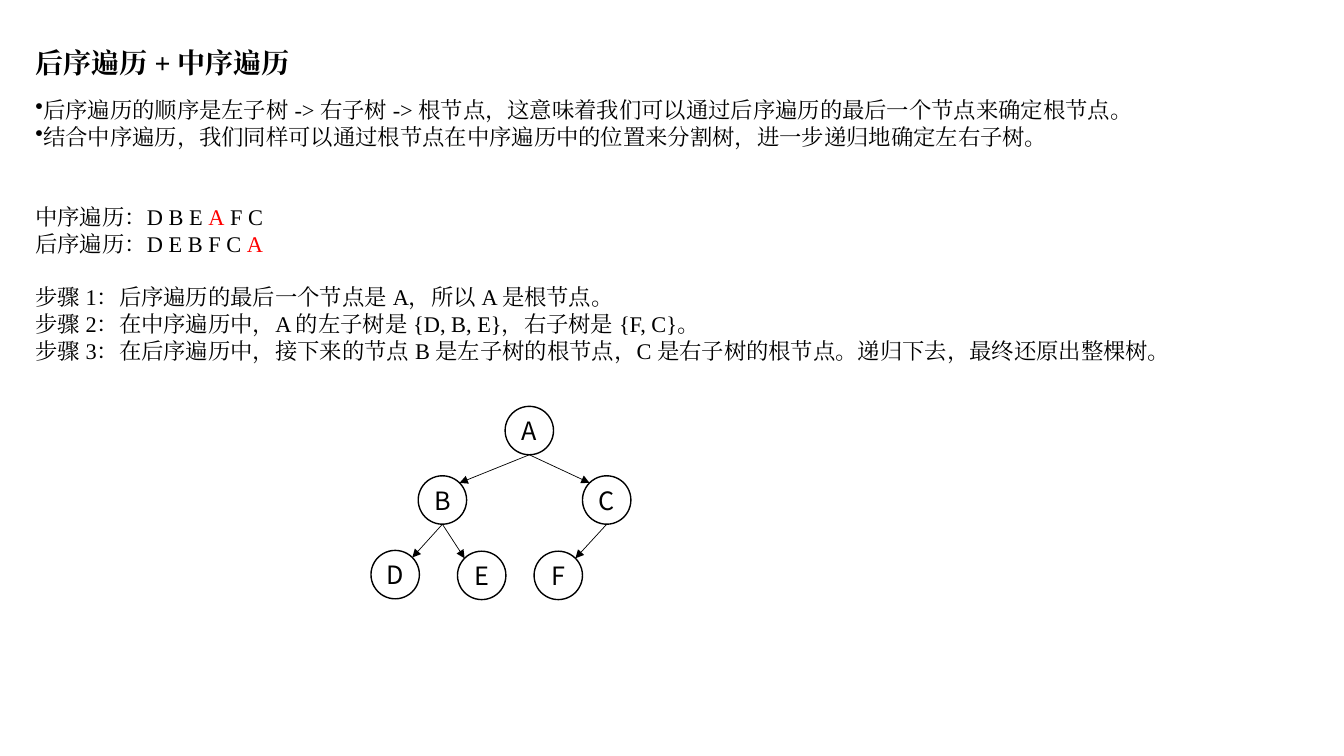
import math

from pptx import Presentation
from pptx import util as u
from pptx.dml.color import RGBColor
from pptx.enum import shapes, text
from pptx.oxml.ns import qn

COLORS = {"ink": "000000", "root": "FF0000"}
BODY_FONT = "Times New Roman"
NODE_FONT = "Noto Sans CJK SC"
NODE_SIZE = 1.22  # cm

# Left and top of each tree node, in cm
NODES = {
    "A": (12.73, 10.24),
    "B": (10.54, 11.99),
    "C": (14.68, 11.99),
    "D": (9.35, 13.87),
    "E": (11.53, 13.89),
    "F": (13.46, 13.89),
}
EDGES = ["AB", "AC", "BD", "BE", "CF"]

# Runs of each paragraph with its format
PARAGRAPHS = [
    (["后序遍历 + 中序遍历"], {"size": 20, "bold": True, "after": 12}),
    (["后序遍历的顺序是左子树 -> 右子树 -> 根节点，这意味着我们可以通过后序遍历的最后一个节点来确定根节点。"],
     {"bullet": True}),
    (["结合中序遍历，我们同样可以通过根节点在中序遍历中的位置来分割树，进一步递归地确定左右子树。"],
     {"bullet": True}),
    (["中序遍历：D B E ", ("A", "root"), " F C"], {"before": 38.5}),
    (["后序遍历：D E B F C ", ("A", "root")], {}),
    (["步骤 1：后序遍历的最后一个节点是 A，所以 A 是根节点。"], {"before": 18.5}),
    (["步骤 2：在中序遍历中，A 的左子树是 {D, B, E}，右子树是 {F, C}。"], {}),
    (["步骤 3：在后序遍历中，接下来的节点 B 是左子树的根节点，C 是右子树的根节点。递归下去，最终还原出整棵树。"], {}),
]


def rgb(name):
    return RGBColor.from_string(COLORS[name])


def write(p, runs, size=16, font=BODY_FONT, bold=False, bullet=False,
          before=0, after=0, align=None):
    """Fill a paragraph with runs, each a string or a (string, colour) pair."""
    p.space_before, p.space_after = u.Pt(before), u.Pt(after)
    if align is not None:
        p.alignment = align
    if bullet:
        pPr = p._p.get_or_add_pPr()
        pPr.append(pPr.makeelement(qn("a:buChar"), {"char": "•"}))
    for run in runs:
        content, color = (run, "ink") if isinstance(run, str) else run
        r = p.add_run()
        r.text = content
        r.font.size, r.font.bold, r.font.name = u.Pt(size), bold, font
        r.font.color.rgb = rgb(color)
        rPr = r.font._element
        rPr.append(rPr.makeelement(qn("a:ea"), {"typeface": font}))


def add_explanation(s):
    box = s.shapes.add_textbox(u.Cm(0.64), u.Cm(1.02), u.Cm(30.35), u.Cm(8.51))
    tf = box.text_frame
    tf.word_wrap = True
    tf.auto_size = text.MSO_AUTO_SIZE.SHAPE_TO_FIT_TEXT
    for i, (runs, fmt) in enumerate(PARAGRAPHS):
        p = tf.add_paragraph() if i else tf.paragraphs[0]
        write(p, runs, **fmt)


def add_node(s, label):
    left, top = NODES[label]
    sp = s.shapes.add_shape(shapes.MSO_SHAPE.OVAL, u.Cm(left), u.Cm(top),
                            u.Cm(NODE_SIZE), u.Cm(NODE_SIZE))
    sp.shadow.inherit = False
    sp.fill.background()
    sp.line.color.rgb = rgb("ink")
    sp.line.width = u.Pt(1)
    tf = sp.text_frame
    tf.word_wrap = False
    tf.vertical_anchor = text.MSO_ANCHOR.MIDDLE
    write(tf.paragraphs[0], [label], size=18, font=NODE_FONT,
          align=text.PP_ALIGN.CENTER)


def add_edge(s, parent, child):
    """Arrow from the bottom of the parent to the child's facing upper diagonal."""
    radius = NODE_SIZE / 2
    diagonal = radius * math.sqrt(0.5)
    px, py = NODES[parent]
    cx, cy = NODES[child]
    side = 1 if px > cx else -1
    line = s.shapes.add_connector(
        shapes.MSO_CONNECTOR.STRAIGHT,
        u.Cm(px + radius), u.Cm(py + NODE_SIZE),
        u.Cm(cx + radius + side * diagonal), u.Cm(cy + radius - diagonal))
    line.line.color.rgb = rgb("ink")
    line.line.width = u.Pt(0.5)
    ln = line.line._get_or_add_ln()
    ln.append(ln.makeelement(qn("a:tailEnd"), {"type": "triangle"}))
    spPr = line._element.spPr
    spPr.append(spPr.makeelement(qn("a:effectLst"), {}))


def main():
    prs = Presentation()
    prs.slide_width, prs.slide_height = u.Cm(33.87), u.Cm(19.05)
    s = prs.slides.add_slide(prs.slide_layouts[6])
    add_explanation(s)
    for label in NODES:
        add_node(s, label)
    for parent, child in EDGES:
        add_edge(s, parent, child)
    prs.save("out.pptx")


if __name__ == "__main__":
    main()
